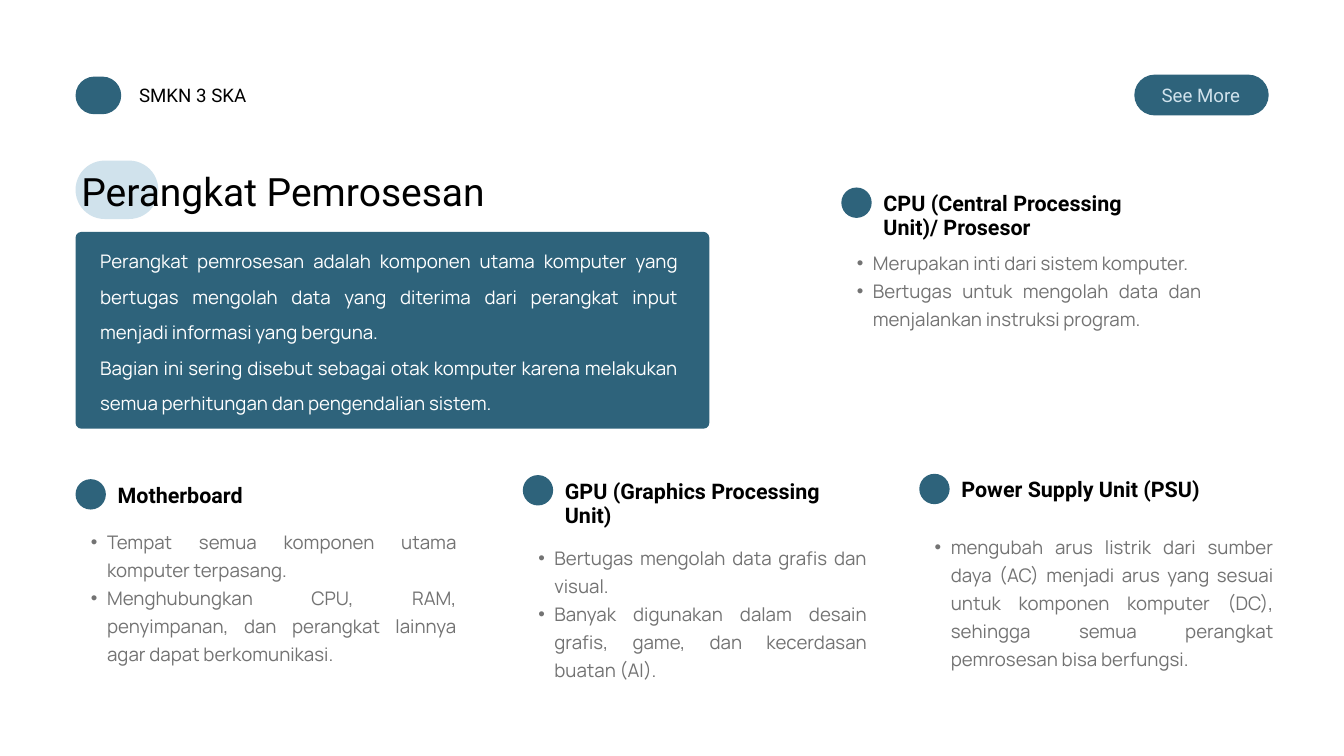
from dataclasses import dataclass

from lxml.etree import SubElement
from pptx import Presentation
from pptx.dml.color import RGBColor
from pptx.enum.shapes import MSO_SHAPE
from pptx.enum.text import PP_ALIGN
from pptx.oxml.ns import qn
from pptx.slide import Slide
from pptx.util import Inches, Pt

WIDTH, HEIGHT = 20, 11.25


@dataclass(frozen=True)
class TextStyle:
    font: str
    size: float
    color: str
    leading: float
    align: PP_ALIGN = PP_ALIGN.LEFT
    bold: bool = False
    level: int = 0
    bullet: bool = False


@dataclass(frozen=True)
class Theme:
    primary: str = "2E637B"
    pale: str = "D0E2EC"
    label: TextStyle = TextStyle("Roboto", 20, "000000", 22.8)
    button: TextStyle = TextStyle("Roboto", 20, "D0E2EC", 22.8, PP_ALIGN.CENTER)
    title: TextStyle = TextStyle("Roboto", 41.8, "000000", 47.7)
    intro: TextStyle = TextStyle("Manrope", 20, "FFFFFF", 38, PP_ALIGN.JUSTIFY)
    heading: TextStyle = TextStyle("Roboto", 23, "000000", 26.2, bold=True, level=1)
    points: TextStyle = TextStyle("Manrope", 20, "737373", 30, PP_ALIGN.JUSTIFY,
                                  level=1, bullet=True)


@dataclass(frozen=True)
class Area:
    """A place on the slide, in percent of its width and height."""
    left: float
    top: float
    width: float
    height: float

    def lengths(self) -> tuple[int, int, int, int]:
        return (Inches(self.left * WIDTH / 100), Inches(self.top * HEIGHT / 100),
                Inches(self.width * WIDTH / 100), Inches(self.height * HEIGHT / 100))


@dataclass(frozen=True)
class Topic:
    heading: str
    left: float
    top: float
    heading_width: float
    heading_lines: int
    points_top: float
    points_width: float
    points: tuple[str, ...]


THEME = Theme()
MARGIN = 5.62
DOT_WIDTH, DOT_HEIGHT = 2.26, 4.02
HEADING_SHIFT, HEADING_DROP, HEADING_LINE = 3.13, 0.5, 3.2
POINTS_HEIGHT = 22.3

TOPICS = (
    Topic("CPU (Central Processing Unit)/ Prosesor", 62.6, 24.8, 22.1, 2, 32.62, 26.8, (
        "Merupakan inti dari sistem komputer.",
        "Bertugas untuk mengolah data dan menjalankan instruksi program.")),
    Topic("Motherboard", MARGIN, 63.38, 16.75, 1, 69.51, 28.35, (
        "Tempat semua komponen utama komputer terpasang.",
        "Menghubungkan CPU, RAM, penyimpanan, dan perangkat lainnya agar dapat "
        "berkomunikasi.")),
    Topic("GPU (Graphics Processing Unit)", 38.9, 62.84, 20.6, 2, 71.64, 25.6, (
        "Bertugas mengolah data grafis dan visual.",
        "Banyak digunakan dalam desain grafis, game, dan kecerdasan buatan (AI).")),
    Topic("Power Supply Unit (PSU)", 68.4, 62.67, 20.6, 1, 70.13, 26.35, (
        "mengubah arus listrik dari sumber daya (AC) menjadi arus yang sesuai untuk "
        "komponen komputer (DC), sehingga semua perangkat pemrosesan bisa berfungsi.",)),
)


def add_rounded(slide: Slide, area: Area, color: str, corner: float = 0.5) -> None:
    """Draw a filled box; a corner of 0.5 gives fully round ends."""
    box = slide.shapes.add_shape(MSO_SHAPE.ROUNDED_RECTANGLE, *area.lengths())
    box.adjustments[0] = corner
    paint(box, color)


def add_dot(slide: Slide, left: float, top: float) -> None:
    area = Area(left, top, DOT_WIDTH, DOT_HEIGHT)
    paint(slide.shapes.add_shape(MSO_SHAPE.OVAL, *area.lengths()), THEME.primary)


def paint(shape, color: str) -> None:
    shape.shadow.inherit = False
    shape.fill.solid()
    shape.fill.fore_color.rgb = RGBColor.from_string(color)
    shape.line.fill.background()


def add_text(slide: Slide, area: Area, style: TextStyle, *texts: str) -> None:
    frame = slide.shapes.add_textbox(*area.lengths()).text_frame
    frame.word_wrap = True
    frame.margin_left = frame.margin_top = frame.margin_right = frame.margin_bottom = 0
    for index, text in enumerate(texts):
        para = frame.add_paragraph() if index else frame.paragraphs[0]
        para.level = style.level
        para.alignment = style.align
        para.line_spacing = Pt(style.leading)
        properties = para._p.get_or_add_pPr()
        properties.set("marL", str(Inches(0.47) if style.bullet else 0))
        properties.set("indent", str(Inches(-0.24) if style.bullet else 0))
        if style.bullet:
            SubElement(properties, qn("a:buFont"), typeface="Arial")
            SubElement(properties, qn("a:buChar"), char="•")
        span = para.add_run()
        span.text = text
        span.font.name = style.font
        span.font.size = Pt(style.size)
        span.font.bold = style.bold
        span.font.color.rgb = RGBColor.from_string(style.color)


def add_topic(slide: Slide, topic: Topic) -> None:
    add_dot(slide, topic.left, topic.top)
    add_text(slide, Area(topic.left + HEADING_SHIFT, topic.top + HEADING_DROP,
                         topic.heading_width, topic.heading_lines * HEADING_LINE),
             THEME.heading, topic.heading)
    add_text(slide, Area(topic.left, topic.points_top, topic.points_width, POINTS_HEIGHT),
             THEME.points, *topic.points)


def add_header(slide: Slide) -> None:
    add_rounded(slide, Area(MARGIN, 10.13, 3.4, 4.98), THEME.primary)
    add_text(slide, Area(10.35, 11.2, 13.4, 2.84), THEME.label, "SMKN 3 SKA")
    add_rounded(slide, Area(84.4, 9.87, 10, 5.4), THEME.primary)
    add_text(slide, Area(84.75, 11.2, 9.2, 2.84), THEME.button, "See More")


def add_introduction(slide: Slide) -> None:
    add_rounded(slide, Area(MARGIN, 21.24, 6.16, 7.73), THEME.pale)
    add_text(slide, Area(6.05, 22.49, 31.8, 6.04), THEME.title, "Perangkat Pemrosesan")
    add_rounded(slide, Area(MARGIN, 30.67, 47.16, 26.04), THEME.primary, corner=0.03)
    add_text(slide, Area(7.45, 31.38, 43, 23.02), THEME.intro,
             "Perangkat pemrosesan adalah komponen utama komputer yang bertugas mengolah "
             "data yang diterima dari perangkat input menjadi informasi yang berguna.",
             "Bagian ini sering disebut sebagai otak komputer karena melakukan semua "
             "perhitungan dan pengendalian sistem.")


def main() -> None:
    deck = Presentation()
    deck.slide_width, deck.slide_height = Inches(WIDTH), Inches(HEIGHT)
    page = deck.slides.add_slide(deck.slide_layouts[6])
    add_header(page)
    add_introduction(page)
    for topic in TOPICS:
        add_topic(page, topic)
    deck.save("out.pptx")


if __name__ == "__main__":
    main()
